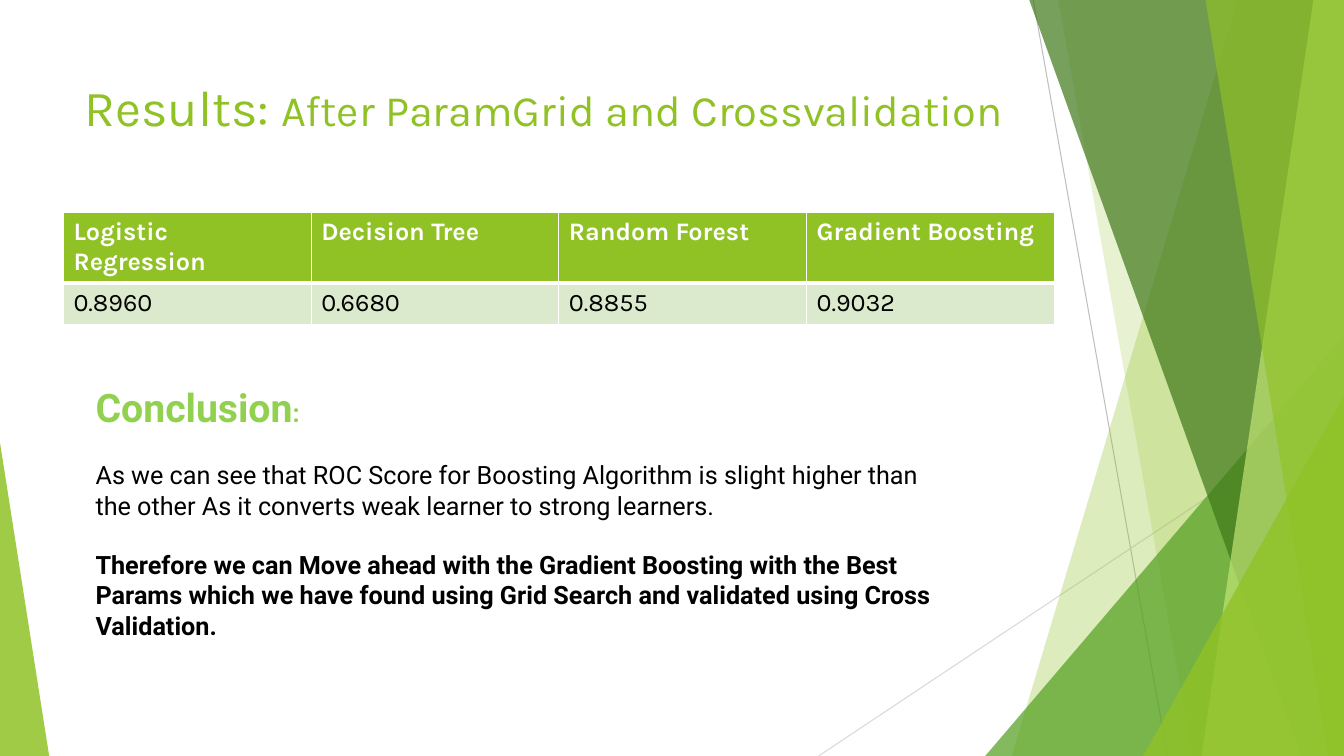
from dataclasses import dataclass

from lxml.etree import SubElement
from pptx import Presentation
from pptx.dml.color import RGBColor
from pptx.enum.shapes import MSO_CONNECTOR, MSO_SHAPE
from pptx.enum.text import MSO_ANCHOR
from pptx.oxml import parse_xml
from pptx.oxml.ns import nsdecls, qn
from pptx.util import Cm, Pt


@dataclass(frozen=True)
class Theme:
    lime: str = "90C226"
    green: str = "54A021"
    forest: str = "3F7819"
    pale: str = "C0E474"
    heading: str = "92D050"
    band: str = "DBE9CD"
    white: str = "FFFFFF"
    black: str = "000000"
    ray: str = "BFBFBF"
    light_ray: str = "D9D9D9"
    display: str = "Karla"
    text: str = "Roboto"
    title: int = 36
    subtitle: int = 31
    conclusion: int = 28
    body: int = 18


@dataclass(frozen=True)
class Box:
    left: float
    top: float
    width: float
    height: float

    @property
    def right(self):
        return self.left + self.width

    @property
    def bottom(self):
        return self.top + self.height

    def lengths(self):
        return [Cm(n) for n in (self.left, self.top, self.width, self.height)]


THEME = Theme()
WIDTH, HEIGHT = 33.87, 19.05
SCORES = {
    "Logistic Regression": "0.8960",
    "Decision Tree": "0.6680",
    "Random Forest": "0.8855",
    "Gradient Boosting": "0.9032",
}


def apply(target, formats):
    for name, value in formats.items():
        setattr(target, name, value)


def write(paragraph, words, face, size, color, bold=False):
    run = paragraph.add_run()
    run.text = words
    apply(run.font, {"name": face, "size": Pt(size), "bold": bold})
    run.font.color.rgb = RGBColor.from_string(color)


def paint(facet, color, opacity):
    facet.shadow.inherit = False
    facet.fill.solid()
    facet.fill.fore_color.rgb = RGBColor.from_string(color)
    facet.line.fill.background()
    tint = facet.element.spPr.find(".//" + qn("a:srgbClr"))
    SubElement(tint, qn("a:alpha"), val=str(opacity * 1000))


def add_ray(slide, start, end, color):
    ray = slide.shapes.add_connector(
        MSO_CONNECTOR.STRAIGHT, *[Cm(n) for n in (*start, *end)])
    ray.line.color.rgb = RGBColor.from_string(color)
    ray.line.width = Pt(0.75)
    SubElement(ray.element.spPr, qn("a:effectLst"))


def add_shard(slide, box, top_reach, bottom_reach, color, opacity):
    outline = slide.shapes.build_freeform(Cm(box.right - top_reach), Cm(box.top))
    outline.add_line_segments([
        (Cm(box.right), Cm(box.top)),
        (Cm(box.right), Cm(box.bottom)),
        (Cm(box.right - bottom_reach), Cm(box.bottom)),
    ])
    paint(outline.convert_to_shape(), color, opacity)


def add_peak(slide, box, apex, color, opacity):
    peak = slide.shapes.add_shape(MSO_SHAPE.ISOSCELES_TRIANGLE, *box.lengths())
    peak.adjustments[0] = apex
    paint(peak, color, opacity)


def add_right_peak(slide, box, width, height, color, opacity):
    corner = Box(box.right - width, box.bottom - height, width, height)
    add_peak(slide, corner, 1, color, opacity)


def add_backdrop(slide, box):
    add_ray(slide, (box.right - 7.83, box.top), (box.right - 4.45, box.bottom), THEME.ray)
    add_ray(slide, (box.right, box.top + 10.24), (box.right - 13.24, box.bottom),
            THEME.light_ray)
    add_shard(slide, box, 2.68, 8.37, THEME.lime, 30)
    add_shard(slide, box, 7.2, 3.82, THEME.lime, 20)
    add_right_peak(slide, box, 9.04, 10.59, THEME.green, 72)
    add_shard(slide, box, 7.93, 1.08, THEME.forest, 70)
    add_shard(slide, box, 0.77, 3.59, THEME.pale, 70)
    add_shard(slide, box, 3.49, 0.39, THEME.lime, 65)
    add_right_peak(slide, box, 5.06, 9.07, THEME.lime, 80)
    add_peak(slide, Box(box.left, box.bottom - 7.9, 1.24, 7.9), 0, THEME.lime, 85)


def add_text_frame(slide, box):
    frame = slide.shapes.add_textbox(*box.lengths()).text_frame
    apply(frame, {"word_wrap": True, "vertical_anchor": MSO_ANCHOR.TOP})
    return frame


def add_title(slide, box):
    title = add_text_frame(slide, box).paragraphs[0]
    write(title, "Results: ", THEME.display, THEME.title, THEME.lime)
    write(title, "After ParamGrid and Crossvalidation", THEME.display,
          THEME.subtitle, THEME.lime)


def add_borders(cell, widths):
    properties = cell._tc.get_or_add_tcPr()
    for position, (side, width) in enumerate(widths.items()):
        properties.insert(position, parse_xml(
            f'<a:ln{side} {nsdecls("a")} w="{Pt(width)}"><a:solidFill>'
            f'<a:srgbClr val="{THEME.white}"/></a:solidFill></a:ln{side}>'))


def add_scores(slide, box):
    scores = slide.shapes.add_table(2, len(SCORES), *box.lengths()).table
    row_styles = [
        (SCORES.keys(), THEME.lime, THEME.white, True, {"L": 1, "R": 1, "T": 1, "B": 3}),
        (SCORES.values(), THEME.band, THEME.black, False, {"L": 1, "R": 1, "T": 3, "B": 1}),
    ]
    for row, (entries, fill, color, bold, borders) in enumerate(row_styles):
        for column, entry in enumerate(entries):
            cell = scores.cell(row, column)
            cell.fill.solid()
            cell.fill.fore_color.rgb = RGBColor.from_string(fill)
            add_borders(cell, borders)
            write(cell.text_frame.paragraphs[0], entry, THEME.display,
                  THEME.body, color, bold)


def add_conclusion(slide, box):
    frame = add_text_frame(slide, box)
    heading = frame.paragraphs[0]
    write(heading, "Conclusion", THEME.text, THEME.conclusion, THEME.heading, True)
    write(heading, ":", THEME.text, THEME.body, THEME.heading, True)
    findings = [
        ("As we can see that ROC Score for Boosting Algorithm is slight higher than "
         "the other As it converts weak learner to strong learners.", False),
        ("Therefore we can Move ahead with the Gradient Boosting with the Best Params "
         "which we have found using Grid Search and validated using Cross Validation.", True),
    ]
    for finding, bold in findings:
        paragraph = frame.add_paragraph()
        paragraph.space_before = Pt(21)
        write(paragraph, finding, THEME.text, THEME.body, THEME.black, bold)


def main():
    presentation = Presentation()
    apply(presentation, {"slide_width": Cm(WIDTH), "slide_height": Cm(HEIGHT)})
    slide = presentation.slides.add_slide(presentation.slide_layouts[6])
    add_backdrop(slide, Box(0, 0, WIDTH, HEIGHT))
    add_title(slide, Box(1.88, 1.8, 23.88, 3.56))
    add_scores(slide, Box(1.6, 5.36, 24.97, 2.06))
    add_conclusion(slide, Box(2.16, 9.53, 21.69, 6.83))
    presentation.save("out.pptx")


if __name__ == "__main__":
    main()
